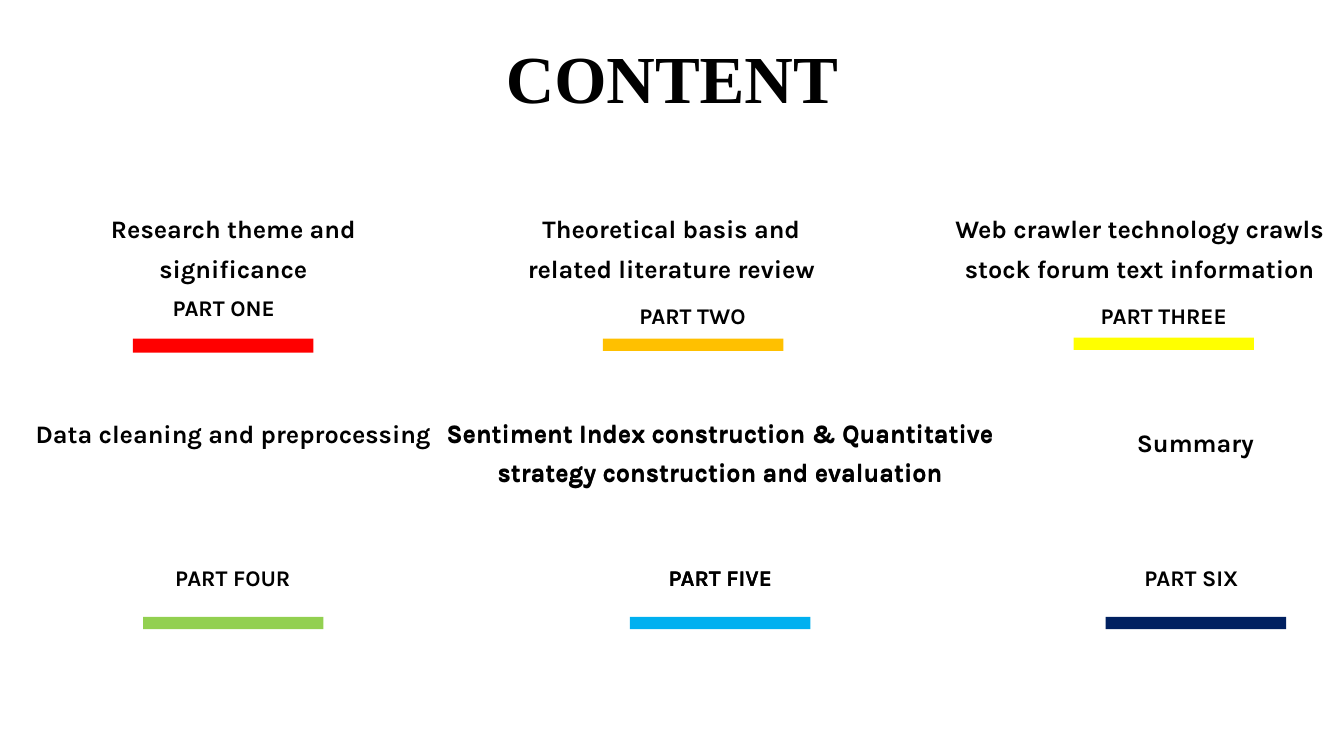
from pptx import Presentation
from pptx.dml.color import RGBColor
from pptx.enum import shapes, text
from pptx.util import Pt

BLACK = RGBColor(0, 0, 0)
RED = RGBColor(0xFF, 0, 0)
ORANGE = RGBColor(0xFF, 0xC0, 0)
YELLOW = RGBColor(0xFF, 0xFF, 0)
GREEN = RGBColor(0x92, 0xD0, 0x50)
BLUE = RGBColor(0, 0xB0, 0xF0)
NAVY = RGBColor(0, 0x20, 0x60)

BAR_WIDTH = 128.9
FIVE = "Sentiment Index construction & Quantitative strategy construction and evaluation"

# Label, its box (left, top, width); theme, its box; bar (left, top, height), colour
TOPICS = [
    ("PART ONE", (102.2, 200.9, 115.2), "Research theme and significance",
     (64.8, 142.6, 203.8), (95, 241.9, 10.1), RED),
    ("PART TWO", (432, 206.6, 125.3), "Theoretical basis and related literature review",
     (361.4, 142.6, 236.2), (430.6, 241.9, 8.8), ORANGE),
    ("PART THREE", (763.9, 206.6, 134.6),
     "Web crawler technology crawls stock forum text information",
     (668.2, 142.6, 291.6), (766.8, 241.2, 8.8), YELLOW),
    ("PART FOUR", (89.3, 393.8, 154.1), "Data cleaning and preprocessing",
     (-5.8, 288.7, 344.9), (102.2, 440.6, 8.8), GREEN),
    ("PART FIVE", (466.6, 393.5, 95.8), FIVE,
     (310.3, 288.2, 408.2), (450, 440.6, 8.8), BLUE),
    ("PART SIX", (802.8, 393.8, 96.5), "Summary",
     (784.8, 295.2, 138.2), (789.8, 440.6, 8.8), NAVY),
]


class Deck:
    font = "Karla"
    spacing = 1.3

    def __init__(self, slide):
        self.slide = slide

    def text(self, words, box, height, size, font=None, spacing=None, home=None):
        left, top, width = box
        shape = (home or self.slide).shapes.add_textbox(
            Pt(left), Pt(top), Pt(width), Pt(height))
        frame = shape.text_frame
        frame.word_wrap = True
        frame.auto_size = text.MSO_AUTO_SIZE.SHAPE_TO_FIT_TEXT
        para = frame.paragraphs[0]
        para.alignment = text.PP_ALIGN.CENTER
        para.line_spacing = spacing or self.spacing
        run = para.add_run()
        run.text = words
        run.font.name = font or self.font
        run.font.size = Pt(size)
        run.font.bold = True
        run.font.color.rgb = BLACK

    def bar(self, home, place, color):
        left, top, height = place
        shape = home.shapes.add_shape(
            shapes.MSO_SHAPE.RECTANGLE, Pt(left), Pt(top), Pt(BAR_WIDTH), Pt(height))
        shape.shadow.inherit = False
        shape.fill.solid()
        shape.fill.fore_color.rgb = color
        shape.line.fill.background()

    def topic(self, label, label_box, theme, theme_box, place, color):
        group = self.slide.shapes.add_group_shape()
        self.text(label, label_box, 32.4, 16, home=group)
        height = 35.3 if theme == "Summary" else 64
        self.text(theme, theme_box, height, 18, home=group)
        self.bar(group, place, color)


def main():
    prs = Presentation()
    prs.slide_width, prs.slide_height = Pt(960), Pt(540)
    deck = Deck(prs.slides.add_slide(prs.slide_layouts[6]))
    deck.text("CONTENT", (332, 22.3, 296), 65.5, 48, "Times New Roman", 1.0)
    # A second layer thickens the lettering of the fifth topic
    deck.text("PART FIVE", (466.6, 393.8, 95.8), 32.4, 16)
    deck.text(FIVE, (310.3, 288.7, 408.2), 64, 18)
    for topic in TOPICS:
        deck.topic(*topic)
    prs.save("out.pptx")


if __name__ == "__main__":
    main()
